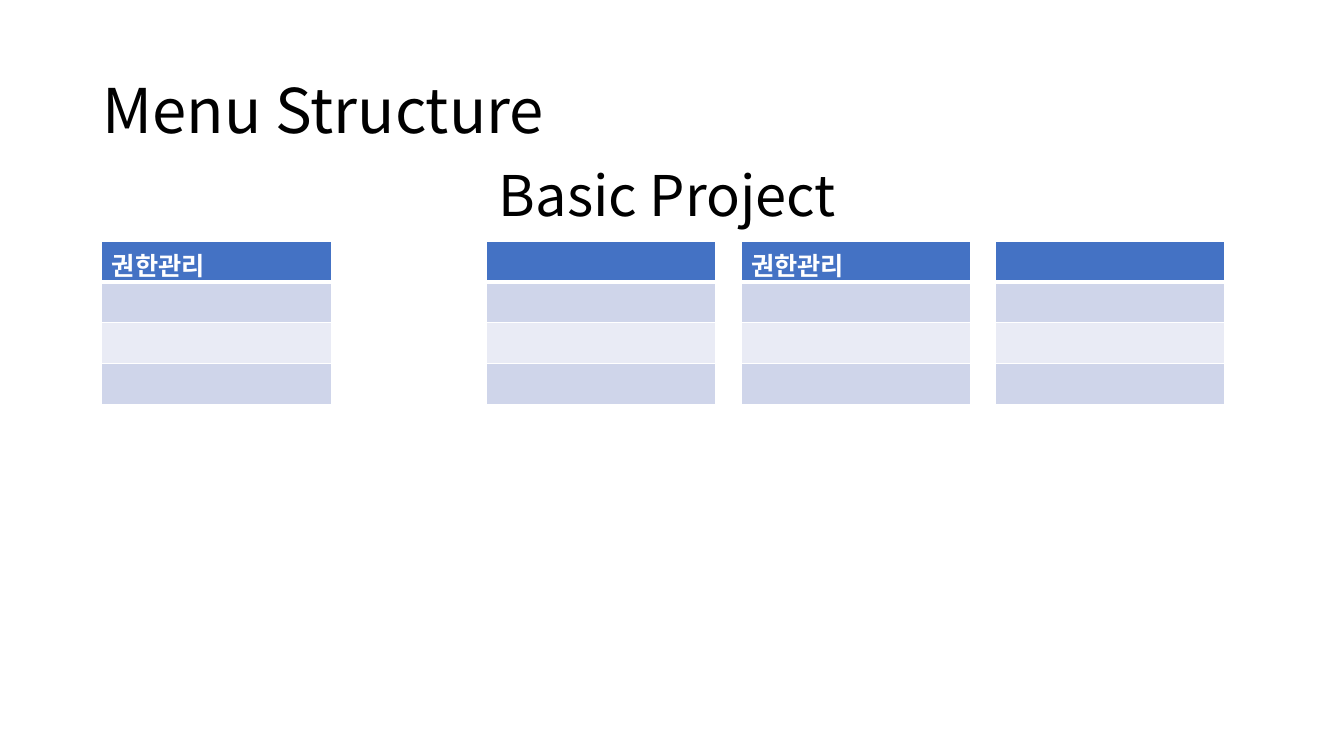
from lxml.etree import SubElement
from pptx import Presentation
from pptx.dml.color import RGBColor
from pptx.enum.text import MSO_ANCHOR as Anchor
from pptx.oxml.ns import qn
from pptx.util import Inches, Pt

FONT = "Noto Sans CJK KR"
COLORS = {
    "text": "000000",
    "white": "FFFFFF",
    "header": "4472C4",
    "dark_band": "CFD5EA",
    "light_band": "E9EBF5",
}
ROW_FILLS = ["header", "dark_band", "light_band", "dark_band"]
MENUS = [(1.01, "권한관리"), (4.82, ""), (7.35, "권한관리"), (9.87, "")]
MENU_TOP, MENU_WIDTH, ROW_HEIGHT = 2.39, 2.28, 0.405


def rgb(name):
    """Return the named colour."""
    return RGBColor.from_string(COLORS[name])


def write(frame, text, size, color, bold=False):
    """Write one paragraph in the slide font and return it."""
    para = frame.paragraphs[0]
    para.text = text
    font = para.font
    font.size, font.bold, font.name = Pt(size), bold, FONT
    font.color.rgb = rgb(color)
    SubElement(font._element, qn("a:ea"), typeface=FONT)
    return para


def add_heading(page, place, text, size, anchor=Anchor.TOP, spacing=1.0):
    """Add a heading in a text box."""
    box = page.shapes.add_textbox(*map(Inches, place))
    frame = box.text_frame
    frame.word_wrap = True
    frame.vertical_anchor = anchor
    write(frame, text, size, "text").line_spacing = spacing


def set_borders(cell, bottom):
    """Draw white cell borders with the given bottom width."""
    props = cell._tc.get_or_add_tcPr()
    widths = {"a:lnL": 1, "a:lnR": 1, "a:lnT": 1, "a:lnB": bottom}
    for tag, width in widths.items():
        line = SubElement(props, qn(tag), w=str(Pt(width)))
        fill = SubElement(line, qn("a:solidFill"))
        SubElement(fill, qn("a:srgbClr"), val=COLORS["white"])


def add_menu(page, left, title):
    """Add a one-column menu table with a header and banded rows."""
    count = len(ROW_FILLS)
    place = (left, MENU_TOP, MENU_WIDTH, ROW_HEIGHT * count)
    table = page.shapes.add_table(count, 1, *map(Inches, place)).table
    for index, color in enumerate(ROW_FILLS):
        cell = table.cell(index, 0)
        set_borders(cell, 3 if index == 0 else 1)
        cell.fill.solid()
        cell.fill.fore_color.rgb = rgb(color)
    if title:
        write(table.cell(0, 0).text_frame, title, 18, "white", bold=True)


def main():
    """Build the menu structure slide."""
    deck = Presentation()
    deck.slide_width, deck.slide_height = Inches(13.33), Inches(7.5)
    page = deck.slides.add_slide(deck.slide_layouts[6])
    add_heading(page, (0.92, 0.4, 11.5, 1.45), "Menu Structure", 44, Anchor.MIDDLE, 0.9)
    add_heading(page, (4.85, 1.54, 3.64, 0.77), "Basic Project", 40)
    for left, title in MENUS:
        add_menu(page, left, title)
    deck.save("out.pptx")


main()
